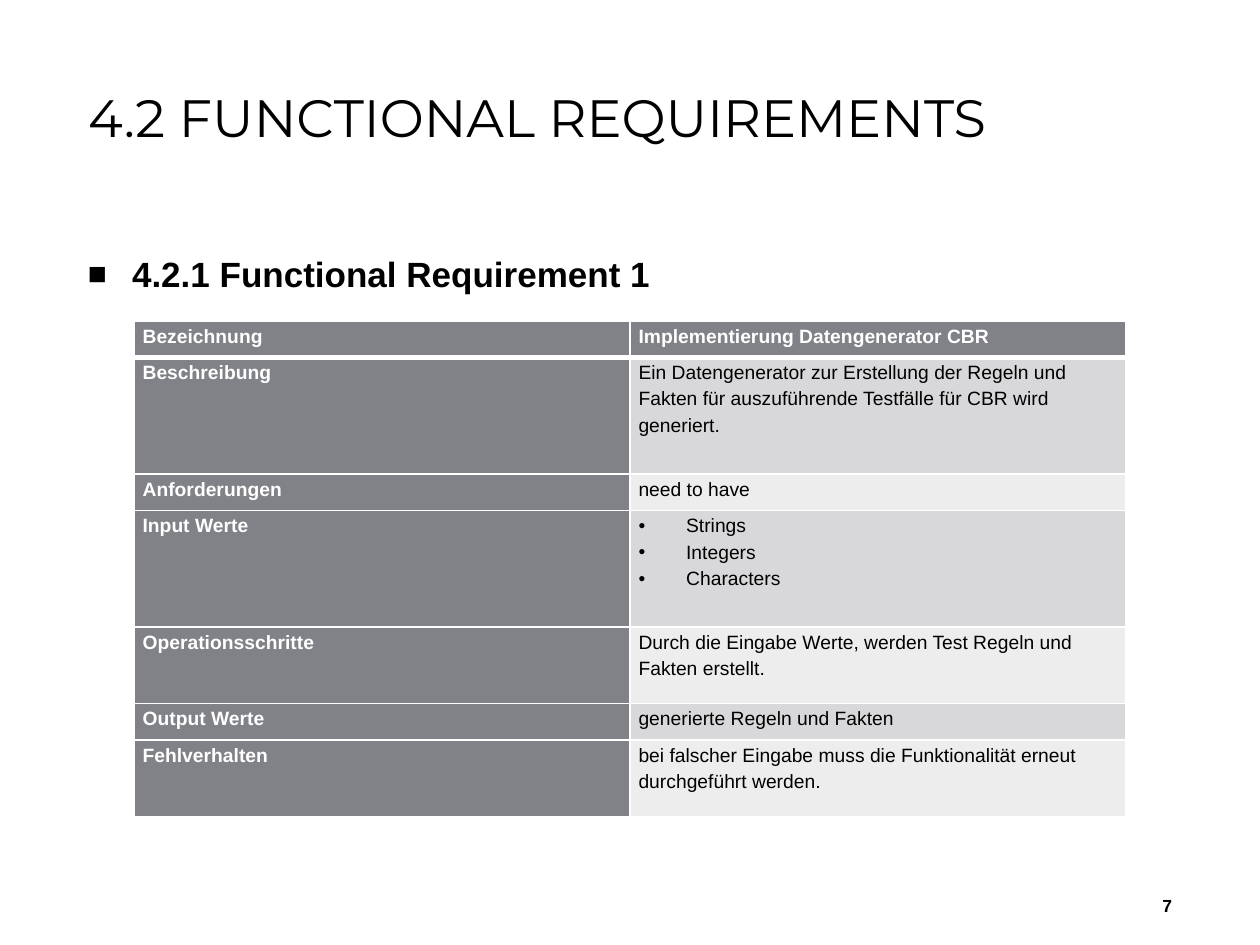
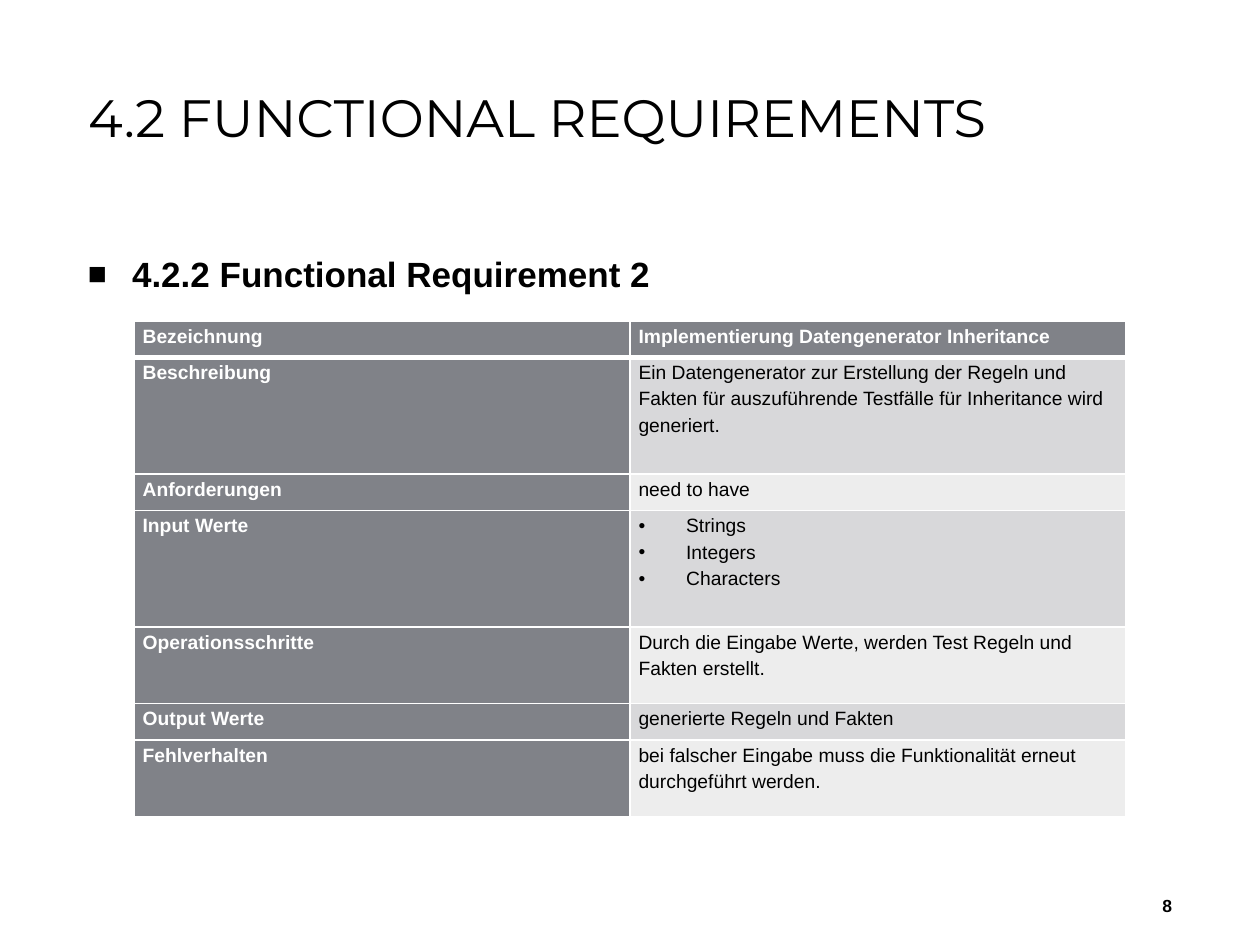
"""Builds two slides of functional requirements, each with a heading and a table."""
from dataclasses import dataclass

from lxml import etree
from pptx import Presentation
from pptx.dml.color import RGBColor
from pptx.enum.text import MSO_ANCHOR, MSO_AUTO_SIZE, PP_ALIGN
from pptx.oxml.ns import qn
from pptx.util import Pt

TOP, MIDDLE = MSO_ANCHOR.TOP, MSO_ANCHOR.MIDDLE
LEFT, RIGHT = PP_ALIGN.LEFT, PP_ALIGN.RIGHT
NO_FIT = MSO_AUTO_SIZE.NONE

TITLE = "4.2 FUNCTIONAL REQUIREMENTS"
FIRST_PAGE = 7
REQUIREMENTS = [
    ("4.2.1 Functional Requirement 1", "CBR"),
    ("4.2.2 Functional Requirement 2", "Inheritance"),
]
ROWS = [
    ("Bezeichnung", "Implementierung Datengenerator {topic}", "short"),
    ("Beschreibung", "Ein Datengenerator zur Erstellung der Regeln und Fakten für "
     "auszuführende Testfälle für {topic} wird generiert.", "tall"),
    ("Anforderungen", "need to have", "short"),
    ("Input Werte", ["Strings", "Integers", "Characters"], "tall"),
    ("Operationsschritte", "Durch die Eingabe Werte, werden Test Regeln und "
     "Fakten erstellt.", "medium"),
    ("Output Werte", "generierte Regeln und Fakten", "short"),
    ("Fehlverhalten", "bei falscher Eingabe muss die Funktionalität erneut "
     "durchgeführt werden.", "medium"),
]


@dataclass(frozen=True)
class Theme:
    black: str = "000000"
    white: str = "FFFFFF"
    label: str = "808288"
    bands: tuple = ("EDEDED", "D8D8DA")
    title_font: str = "Montserrat"
    body_font: str = "Arial"
    title_size: float = 30
    heading_size: float = 20
    cell_size: float = 11
    page_size: float = 10


THEME = Theme()
SLIDE_SIZE = (720, 540)
TITLE_BOX = (43.2, 51.1, 625, 74.2)
HEADING_BOX = (43.2, 139.7, 624.2, 326.9)
PAGE_BOX = (636.5, 503.3, 40.3, 28.8)
TABLE_LEFT, TABLE_TOP, COLUMN_WIDTH = 76.5, 183.4, 283.4
ROW_HEIGHTS = {"short": 20.9, "medium": 43.7, "tall": 66.6}
CELL_INSET, CELL_INDENT, CELL_LEADING = 5, 27.2, 15
HEADING_INDENT = 25.2
RULE, HEADER_RULE = 1, 3


def place(sp, box):
    sp.left, sp.top, sp.width, sp.height = map(Pt, box)


def write(p, text, size, color=THEME.black, bold=False, font=THEME.body_font):
    r = p.add_run()
    r.text = text
    r.font.name, r.font.size, r.font.bold = font, Pt(size), bold
    r.font.color.rgb = RGBColor.from_string(color)


def add_bullet(p, char, indent, percent=100):
    pPr = p._p.get_or_add_pPr()
    pPr.set("marL", str(Pt(indent)))
    pPr.set("indent", str(-Pt(indent)))
    etree.SubElement(pPr, qn("a:buSzPct"), val=str(percent * 1000))
    etree.SubElement(pPr, qn("a:buFont"), typeface=THEME.body_font)
    etree.SubElement(pPr, qn("a:buChar"), char=char)


def add_borders(cell, bottom):
    tcPr = cell._tc.get_or_add_tcPr()
    widths = {"lnL": RULE, "lnR": RULE, "lnT": RULE, "lnB": bottom}
    for i, (side, width) in enumerate(widths.items()):
        ln = etree.Element(qn("a:" + side), w=str(Pt(width)))
        fill = etree.SubElement(ln, qn("a:solidFill"))
        etree.SubElement(fill, qn("a:srgbClr"), val=THEME.white)
        tcPr.insert(i, ln)


def add_text_box(s, box, anchor):
    sp = s.shapes.add_textbox(*map(Pt, box))
    tf = sp.text_frame
    tf.word_wrap, tf.auto_size, tf.vertical_anchor = True, NO_FIT, anchor
    return tf.paragraphs[0]


def add_title(s):
    sp = s.shapes.title
    place(sp, TITLE_BOX)
    tf = sp.text_frame
    tf.word_wrap, tf.auto_size, tf.vertical_anchor = True, NO_FIT, TOP
    p = tf.paragraphs[0]
    p.alignment, p.line_spacing = LEFT, 0.83
    write(p, TITLE, THEME.title_size, font=THEME.title_font)


def add_heading(s, text):
    p = add_text_box(s, HEADING_BOX, TOP)
    p.line_spacing, p.space_before, p.space_after = 1.05, Pt(6), Pt(6)
    add_bullet(p, "■", HEADING_INDENT, 90)
    write(p, text, THEME.heading_size, bold=True)


def add_page_number(s, number):
    p = add_text_box(s, PAGE_BOX, MIDDLE)
    p.alignment = RIGHT
    write(p, str(number), THEME.page_size, bold=True)


def fill_cell(cell, content, row, strong):
    cell.margin_left = cell.margin_right = Pt(CELL_INSET)
    cell.margin_top = cell.margin_bottom = 0
    cell.fill.solid()
    fill = THEME.label if strong else THEME.bands[row % 2]
    cell.fill.fore_color.rgb = RGBColor.from_string(fill)
    bulleted = isinstance(content, list)
    tf = cell.text_frame
    for i, text in enumerate(content if bulleted else [content]):
        p = tf.add_paragraph() if i else tf.paragraphs[0]
        p.line_spacing = Pt(CELL_LEADING)
        if bulleted:
            add_bullet(p, "•", CELL_INDENT)
        write(p, text, THEME.cell_size, THEME.white if strong else THEME.black, strong)
    add_borders(cell, RULE if row else HEADER_RULE)


def add_requirement_table(s, topic):
    heights = [ROW_HEIGHTS[kind] for _, _, kind in ROWS]
    box = (TABLE_LEFT, TABLE_TOP, 2 * COLUMN_WIDTH, sum(heights))
    table = s.shapes.add_table(len(ROWS), 2, *map(Pt, box)).table
    for column in table.columns:
        column.width = Pt(COLUMN_WIDTH)
    for i, (label, value, _) in enumerate(ROWS):
        table.rows[i].height = Pt(heights[i])
        if isinstance(value, str):
            value = value.format(topic=topic)
        fill_cell(table.cell(i, 0), label, i, True)
        fill_cell(table.cell(i, 1), value, i, i == 0)


prs = Presentation()
prs.slide_width, prs.slide_height = map(Pt, SLIDE_SIZE)
title_only = prs.slide_layouts[5]
for page, (heading, topic) in enumerate(REQUIREMENTS, FIRST_PAGE):
    s = prs.slides.add_slide(title_only)
    add_title(s)
    add_page_number(s, page)
    add_heading(s, heading)
    add_requirement_table(s, topic)
prs.save("out.pptx")
